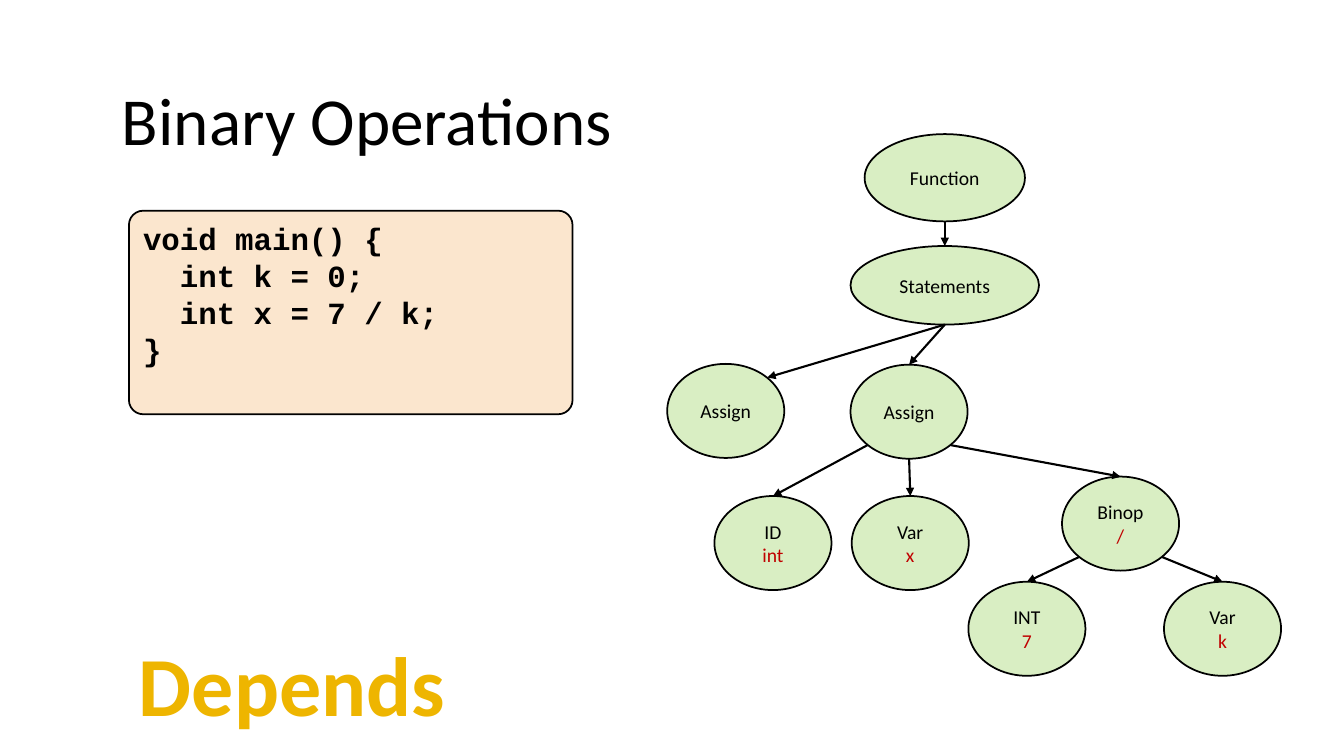
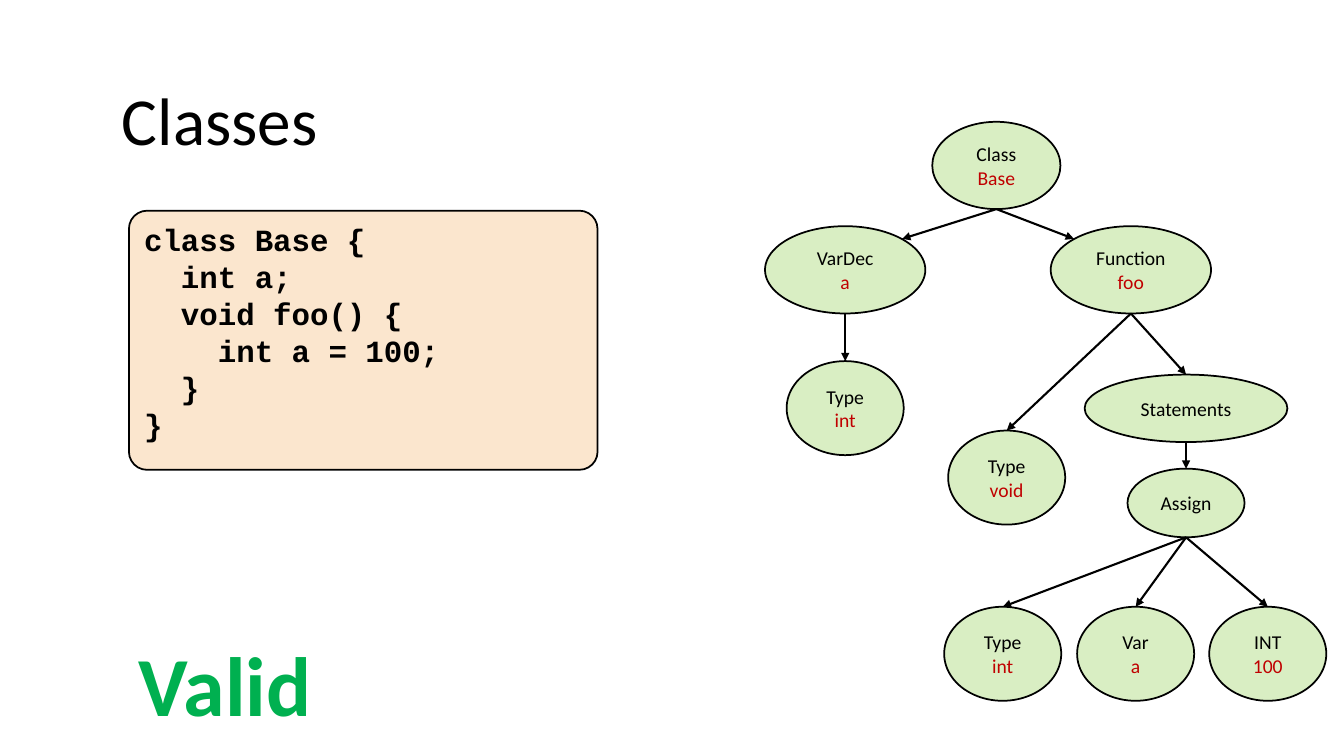
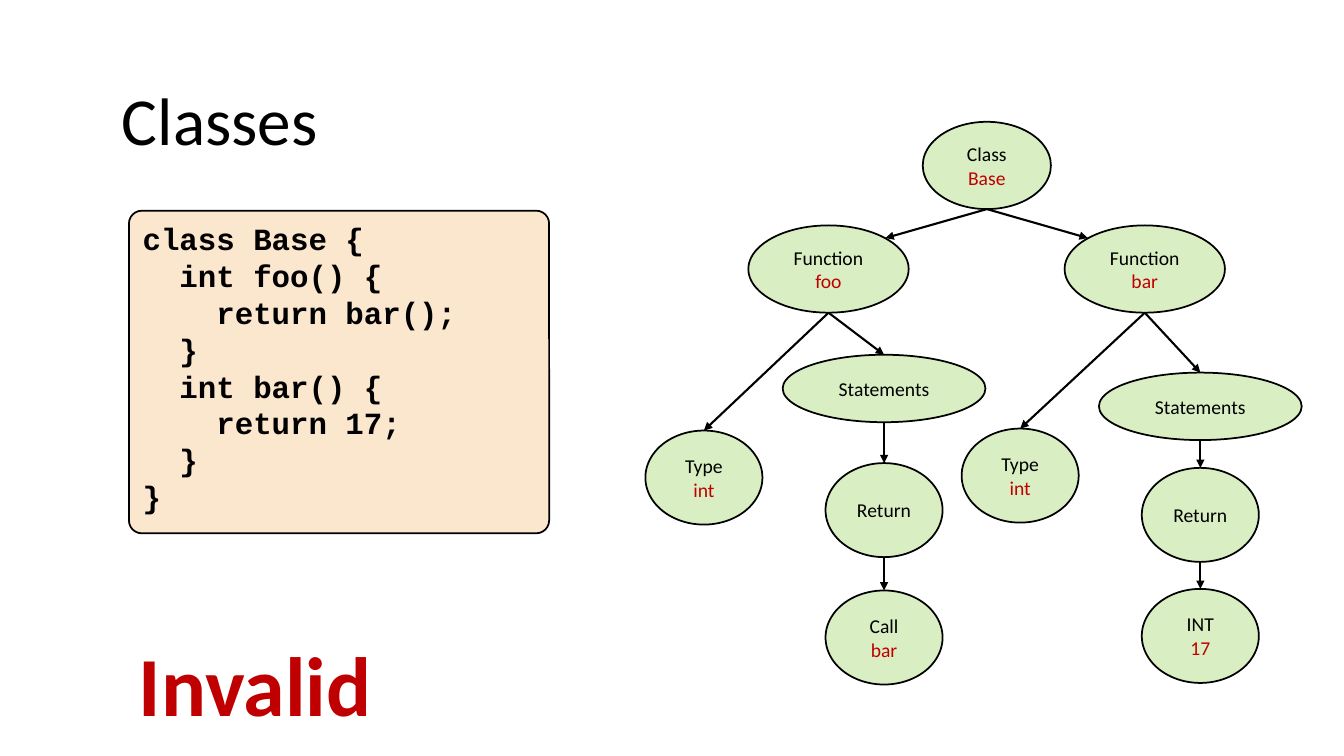
from dataclasses import dataclass
from typing import Any

from lxml import etree
from pptx import Presentation
from pptx.dml.color import RGBColor
from pptx.enum.shapes import MSO_CONNECTOR, MSO_SHAPE
from pptx.enum.text import MSO_ANCHOR, MSO_AUTO_SIZE, PP_ALIGN
from pptx.oxml.ns import qn
from pptx.util import Cm, Pt

ELLIPSE = MSO_SHAPE.OVAL
ROUNDED = MSO_SHAPE.ROUNDED_RECTANGLE
STRAIGHT = MSO_CONNECTOR.STRAIGHT
TOP, MIDDLE = MSO_ANCHOR.TOP, MSO_ANCHOR.MIDDLE
LEFT, CENTER = PP_ALIGN.LEFT, PP_ALIGN.CENTER
GROW = MSO_AUTO_SIZE.SHAPE_TO_FIT_TEXT
NO_FIT = MSO_AUTO_SIZE.NONE

COLORS = {
    "ink": "000000",
    "node": "92D050",
    "code": "FBE6CE",
    "value": "C00000",
    "depends": "EEB500",
    "valid": "00B050",
    "invalid": "C00000",
}
NODE_OPACITY = 34
FORMATS: dict[str, dict[str, Any]] = {
    "title": {"name": "Calibri", "size": Pt(48), "bold": False},
    "node": {"name": "Calibri", "size": Pt(14), "bold": False},
    "code": {"name": "Courier New", "size": Pt(22), "bold": True},
    "verdict": {"name": "Calibri", "size": Pt(60), "bold": True},
}
SIZES = {
    "small": (2.95, 2.37),
    "flat": (2.95, 1.73),
    "class": (3.23, 2.2),
    "function": (4.04, 2.2),
    "block": (4.75, 1.98),
    "wide": (5.11, 1.7),
}
DIAGONAL = 0.71
SITES = {
    "top": (0, -1),
    "bottom": (0, 1),
    "top left": (-DIAGONAL, -DIAGONAL),
    "top right": (DIAGONAL, -DIAGONAL),
    "bottom left": (-DIAGONAL, DIAGONAL),
    "bottom right": (DIAGONAL, DIAGONAL),
}


@dataclass(frozen=True)
class Node:
    key: str
    label: str
    value: str
    size: str
    center: float
    top: float
    parent: str = ""
    leave: str = "bottom"
    enter: str = "top"

    def site(self, name: str) -> tuple[Any, Any]:
        width, height = SIZES[self.size]
        across, down = SITES[name]
        return (Cm(self.center + across * width / 2),
                Cm(self.top + (1 + down) * height / 2))


@dataclass(frozen=True)
class Example:
    title: str
    code: str
    code_size: tuple[float, float]
    corner: float
    verdict: str
    nodes: list[Node]


EXAMPLES = [
    Example(
        "Binary Operations",
        "void main() {\n  int k = 0;\n  int x = 7 / k;\n}",
        (11.18, 5.13), 0.07, "Depends",
        [
            Node("function", "Function", "", "function", 23.81, 3.38),
            Node("body", "Statements", "", "block", 23.81, 6.2, "function"),
            Node("first", "Assign", "", "small", 18.29, 9.17, "body", enter="top right"),
            Node("second", "Assign", "", "small", 22.91, 9.19, "body"),
            Node("type", "ID", "int", "small", 19.48, 12.5, "second", "bottom left"),
            Node("target", "Var", "x", "small", 22.94, 12.5, "second"),
            Node("division", "Binop", "/", "small", 28.24, 12.01, "second", "bottom right"),
            Node("dividend", "INT", "7", "small", 25.88, 14.66, "division", "bottom left"),
            Node("divisor", "Var", "k", "small", 30.81, 14.66, "division", "bottom right"),
        ],
    ),
    Example(
        "Classes",
        "class Base {\n  int a;\n  void foo() {\n    int a = 100;\n  }\n}",
        (11.81, 6.53), 0.07, "Valid",
        [
            Node("class", "Class", "Base", "class", 25.11, 3.07),
            Node("field", "VarDec", "a", "function", 21.3, 5.7, "class", enter="top right"),
            Node("foo", "Function", "foo", "function", 28.5, 5.7, "class", enter="top left"),
            Node("field type", "Type", "int", "small", 21.3, 9.1, "field"),
            Node("foo type", "Type", "void", "small", 25.37, 10.85, "foo"),
            Node("body", "Statements", "", "wide", 29.89, 9.44, "foo"),
            Node("assign", "Assign", "", "flat", 29.89, 11.81, "body"),
            Node("type", "Type", "int", "small", 25.27, 15.29, "assign"),
            Node("target", "Var", "a", "small", 28.62, 15.29, "assign"),
            Node("number", "INT", "100", "small", 31.95, 15.29, "assign"),
        ],
    ),
    Example(
        "Classes",
        "class Base {\n  int foo() {\n    return bar();\n  }\n"
        "  int bar() {\n    return 17;\n  }\n}",
        (10.59, 8.13), 0.04, "Invalid",
        [
            Node("class", "Class", "Base", "class", 24.87, 3.07),
            Node("foo", "Function", "foo", "function", 20.88, 5.68, "class", enter="top right"),
            Node("foo type", "Type", "int", "small", 17.74, 10.85, "foo"),
            Node("foo body", "Statements", "", "wide", 22.28, 8.94, "foo"),
            Node("foo return", "Return", "", "small", 22.28, 11.67, "foo body"),
            Node("call", "Call", "bar", "small", 22.28, 14.88, "foo return"),
            Node("bar", "Function", "bar", "function", 28.85, 5.68, "class", enter="top left"),
            Node("bar type", "Type", "int", "small", 25.71, 10.8, "bar"),
            Node("bar body", "Statements", "", "wide", 30.25, 9.39, "bar"),
            Node("bar return", "Return", "", "small", 30.25, 11.79, "bar body"),
            Node("number", "INT", "17", "small", 30.25, 14.84, "bar return"),
        ],
    ),
]


def rgb(color: str) -> RGBColor:
    return RGBColor.from_string(COLORS[color])


def write(box: Any, lines: list[tuple[str, str]], style: str, align: Any = LEFT,
          anchor: Any = TOP, fit: Any = NO_FIT) -> None:
    frame = box.text_frame
    for name, value in {"word_wrap": True, "auto_size": fit, "vertical_anchor": anchor}.items():
        setattr(frame, name, value)
    for index, (text, color) in enumerate(lines):
        para = frame.add_paragraph() if index else frame.paragraphs[0]
        para.alignment = align
        span = para.add_run()
        span.text = text
        for name, value in FORMATS[style].items():
            setattr(span.font, name, value)
        span.font.color.rgb = rgb(color)


def add_outlined(page: Any, kind: Any, bounds: tuple[float, ...], fill: str) -> Any:
    shape = page.shapes.add_shape(kind, *map(Cm, bounds))
    shape.shadow.inherit = False
    shape.fill.solid()
    shape.fill.fore_color.rgb = rgb(fill)
    shape.line.color.rgb = rgb("ink")
    shape.line.width = Pt(1.25)
    return shape


def add_node(page: Any, node: Node) -> None:
    width, height = SIZES[node.size]
    bounds = (node.center - width / 2, node.top, width, height)
    shape = add_outlined(page, ELLIPSE, bounds, "node")
    color = shape.element.spPr.find(f"{qn('a:solidFill')}/{qn('a:srgbClr')}")
    etree.SubElement(color, qn("a:alpha")).set("val", str(NODE_OPACITY * 1000))
    lines = [(node.label, "ink")]
    if node.value:
        lines.append((node.value, "value"))
    write(shape, lines, "node", CENTER, MIDDLE)


def add_arrow(page: Any, parent: Node, child: Node) -> None:
    arrow = page.shapes.add_connector(
        STRAIGHT, *parent.site(child.leave), *child.site(child.enter))
    arrow.line.color.rgb = rgb("ink")
    arrow.line.width = Pt(1.5)
    properties = arrow.element.spPr
    etree.SubElement(properties.find(qn("a:ln")), qn("a:tailEnd")).set("type", "triangle")
    etree.SubElement(properties, qn("a:effectLst"))


def add_title(page: Any, text: str) -> None:
    title = page.shapes.title
    bounds = {"left": Cm(2.82), "top": Cm(1.85), "width": Cm(28.17), "height": Cm(2.31)}
    for name, value in bounds.items():
        setattr(title, name, value)
    write(title, [(text, "ink")], "title", fit=GROW)


def add_code(page: Any, example: Example) -> None:
    box = add_outlined(page, ROUNDED, (3.25, 5.31, *example.code_size), "code")
    box.adjustments[0] = example.corner
    write(box, [(line, "ink") for line in example.code.split("\n")], "code")


def add_verdict(page: Any, verdict: str) -> None:
    box = page.shapes.add_textbox(Cm(3.25), Cm(15.82), Cm(9), Cm(2.82))
    write(box, [(verdict, verdict.lower())], "verdict", fit=GROW)


def add_example(deck: Any, example: Example) -> None:
    page = deck.slides.add_slide(deck.slide_layouts[5])
    add_title(page, example.title)
    add_code(page, example)
    nodes = {node.key: node for node in example.nodes}
    for node in example.nodes:
        add_node(page, node)
        if node.parent:
            add_arrow(page, nodes[node.parent], node)
    add_verdict(page, example.verdict)


def main() -> None:
    deck = Presentation()
    deck.slide_width, deck.slide_height = Cm(33.87), Cm(19.05)
    for example in EXAMPLES:
        add_example(deck, example)
    deck.save("out.pptx")


if __name__ == "__main__":
    main()
